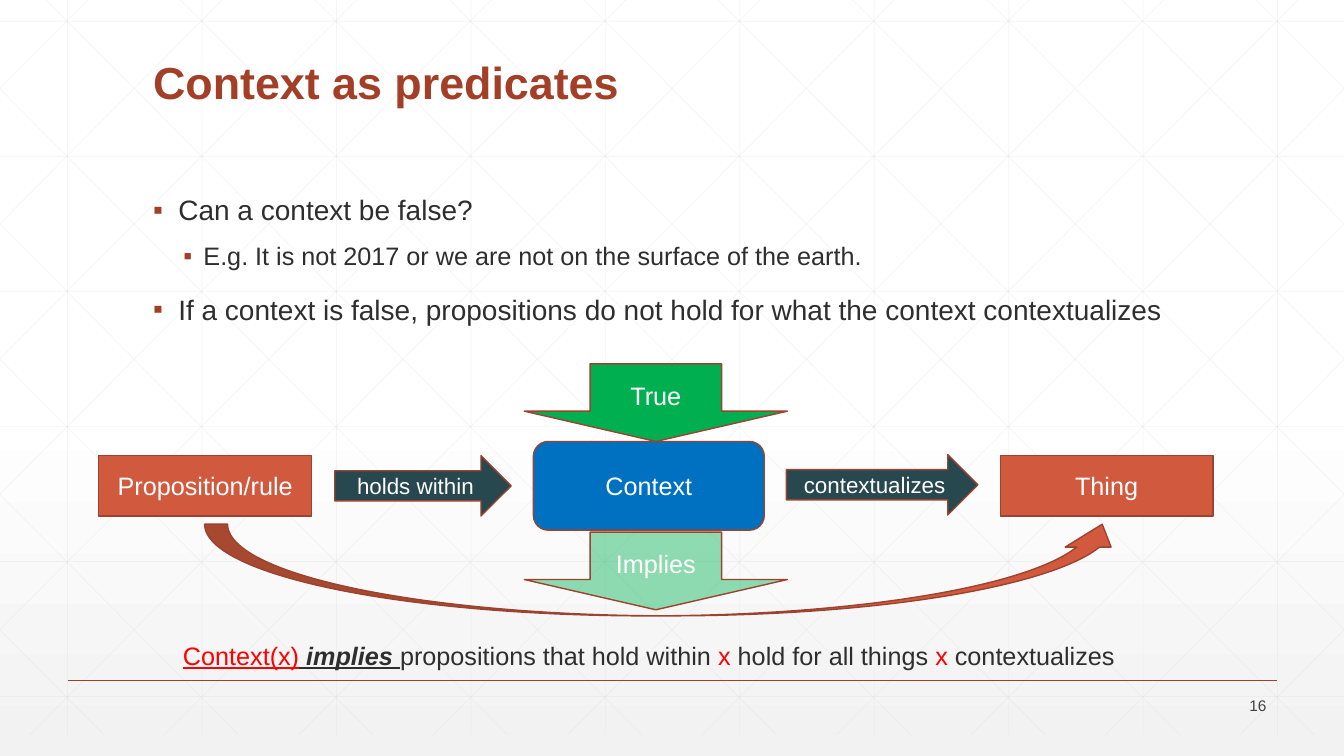
"""Build the slide "Context as predicates"."""
from lxml.etree import SubElement
from pptx import Presentation
from pptx.dml.color import RGBColor
from pptx.enum.shapes import MSO_CONNECTOR, MSO_SHAPE
from pptx.enum.text import MSO_ANCHOR, MSO_AUTO_SIZE, PP_ALIGN
from pptx.oxml.ns import qn
from pptx.util import Emu, Pt

PX = 9144
WIDTH, HEIGHT = 1333, 750
FONT = "Arial"

WHITE = RGBColor(0xFF, 0xFF, 0xFF)
PALE = RGBColor(0xF2, 0xF2, 0xF2)
GRID = RGBColor(0xD9, 0xD9, 0xD9)
RUST = RGBColor(0xA4, 0x3F, 0x27)
EDGE = RGBColor(0x9B, 0x43, 0x2E)
ORANGE = RGBColor(0xD1, 0x5A, 0x3E)
BLUE = RGBColor(0x00, 0x70, 0xC0)
SLATE = RGBColor(0x28, 0x48, 0x50)
GREEN = RGBColor(0x00, 0xB0, 0x50)
RED = RGBColor(0xFF, 0x00, 0x00)
INK = RGBColor(0x2D, 0x2E, 0x2D)
GREY = RGBColor(0x42, 0x43, 0x42)

TITLE = "Context as predicates"
PAGE = "16"
BULLETS = [
    (0, "Can a context be false?"),
    (1, "E.g. It is not 2017 or we are not on the surface of the earth."),
    (0, "If a context is false, propositions do not hold for what the context contextualizes"),
]
LEVELS = [
    {"left": 25, "hang": 20 + 5, "size": 20, "before": 18},
    {"left": 50, "hang": 20, "size": 18, "before": 12},
]
RULE_RUNS = [
    ("Context(x)", {"color": RED, "underline": True}),
    (" ", {"underline": True}),
    ("implies", {"underline": True, "bold": True, "italic": True}),
    (" ", {"underline": True}),
    ("propositions that hold within ", {}),
    ("x", {"color": RED}),
    (" hold for all things ", {}),
    ("x", {"color": RED}),
    (" contextualizes", {}),
]
SHAPES = [
    (MSO_SHAPE.FLOWCHART_ALTERNATE_PROCESS, (529, 438, 229, 88), BLUE, "Context", 18),
    (MSO_SHAPE.RECTANGLE, (98, 452, 211, 60), ORANGE, "Proposition/rule", 18),
    (MSO_SHAPE.RECTANGLE, (992, 452, 211, 60), ORANGE, "Thing", 18),
    (MSO_SHAPE.RIGHT_ARROW, (332, 452, 175, 60), SLATE, "holds within", 16),
    (MSO_SHAPE.RIGHT_ARROW, (780, 451, 190, 60), SLATE, "contextualizes", 16),
    (MSO_SHAPE.CURVED_UP_ARROW, (203, 520, 913, 91), ORANGE, "", 18),
]
DOWN_ARROWS = [("True", 361, 100), ("Implies", 528, 43)]

GRID_TOP, GRID_BOTTOM, GRID_STEP, DIAGONAL_RUN = -21, 729, 133.35, 745


def px(*lengths):
    return [Emu(round(n * PX)) for n in lengths]


def set_alpha(fill_parent, percent):
    color = fill_parent.find(".//" + qn("a:srgbClr"))
    SubElement(color, qn("a:alpha")).set("val", str(percent * 1000))


def add_line(slide, ends, color, width, alpha=100):
    line = slide.shapes.add_connector(MSO_CONNECTOR.STRAIGHT, *px(*ends))
    line.line.color.rgb = color
    line.line.width = Pt(width)
    props = line.line._get_or_add_ln()
    if alpha < 100:
        set_alpha(props, alpha)
    SubElement(props.getparent(), qn("a:effectLst"))


def add_run(p, text, size, color=INK, **styles):
    r = p.add_run()
    r.text = text
    r.font.color.rgb = color
    for name, value in {"name": FONT, "size": Pt(size), **styles}.items():
        setattr(r.font, name, value)


def add_box(slide, place, anchor=MSO_ANCHOR.TOP, wrap=True):
    tf = slide.shapes.add_textbox(*px(*place)).text_frame
    tf.word_wrap = wrap
    tf.vertical_anchor = anchor
    return tf


def add_block(slide, kind, place, fill, text, size, alpha=100):
    sp = slide.shapes.add_shape(kind, *px(*place))
    sp.shadow.inherit = False
    sp.fill.solid()
    sp.fill.fore_color.rgb = fill
    if alpha < 100:
        set_alpha(sp._element.spPr, alpha)
    sp.line.color.rgb = EDGE
    sp.line.width = Pt(1)
    if text:
        sp.text_frame.vertical_anchor = MSO_ANCHOR.MIDDLE
        p = sp.text_frame.paragraphs[0]
        p.alignment = PP_ALIGN.CENTER
        add_run(p, text, size, WHITE)
    return sp


def add_grid(slide):
    lines = [(x, GRID_TOP, x, GRID_BOTTOM) for x in (67 + GRID_STEP * i for i in range(10))]
    lines += [(0, y, WIDTH, y) for y in range(21, GRID_BOTTOM, 134)]
    slope = (GRID_BOTTOM - GRID_TOP) / DIAGONAL_RUN
    for i in range(-5, 10):
        start = 25 + GRID_STEP * i
        left, right = max(start, 0), min(start + DIAGONAL_RUN, WIDTH)
        top, bottom = (GRID_TOP + (x - start) * slope for x in (left, right))
        lines += [(left, top, right, bottom), (WIDTH - left, top, WIDTH - right, bottom)]
    for ends in lines:
        add_line(slide, ends, GRID, 0.5, 25)


def add_bullets(slide):
    tf = add_box(slide, (142, 190, 1050, 417))
    for i, (depth, text) in enumerate(BULLETS):
        level = LEVELS[depth]
        p = tf.add_paragraph() if i else tf.paragraphs[0]
        p.level = depth
        props = p._p.get_or_add_pPr()
        props.set("marL", str(level["left"] * PX))
        props.set("indent", str(-level["hang"] * PX))
        color = SubElement(props, qn("a:buClr"))
        SubElement(color, qn("a:srgbClr")).set("val", str(RUST))
        SubElement(props, qn("a:buFont")).set("typeface", FONT)
        SubElement(props, qn("a:buChar")).set("char", "▪")
        p.line_spacing = 0.9
        if i:
            p.space_before = Pt(level["before"])
        add_run(p, text, level["size"])


def main():
    prs = Presentation()
    prs.slide_width, prs.slide_height = px(WIDTH, HEIGHT)
    slide = prs.slides.add_slide(prs.slide_layouts[6])

    fill = slide.background.fill
    fill.gradient()
    fill.gradient_angle = 270
    for stop, position, color in zip(fill.gradient_stops, (0.53, 1), (WHITE, PALE)):
        stop.position = position
        stop.color.rgb = color

    add_grid(slide)
    add_line(slide, (67, 675, 1267, 675), RUST, 1)

    p = add_box(slide, (142, 55, 1050, 125)).paragraphs[0]
    p.line_spacing = 0.9
    add_run(p, TITLE, 32, RUST, bold=True)

    add_bullets(slide)

    p = add_box(slide, (1166, 688, 100, 24), MSO_ANCHOR.MIDDLE).paragraphs[0]
    p.alignment = PP_ALIGN.RIGHT
    add_run(p, PAGE, 11, GREY)

    for block in SHAPES:
        add_block(slide, *block)

    tf = add_box(slide, (167, 630, 953, 40), wrap=False)
    tf.auto_size = MSO_AUTO_SIZE.SHAPE_TO_FIT_TEXT
    p = tf.paragraphs[0]
    p.alignment = PP_ALIGN.CENTER
    for text, styles in RULE_RUNS:
        add_run(p, text, 18, **styles)

    for text, top, alpha in DOWN_ARROWS:
        sp = add_block(slide, MSO_SHAPE.DOWN_ARROW, (520, top, 261, 77), GREEN, text, 18, alpha)
        sp.adjustments[1] = 0.39

    prs.save("out.pptx")


if __name__ == "__main__":
    main()
